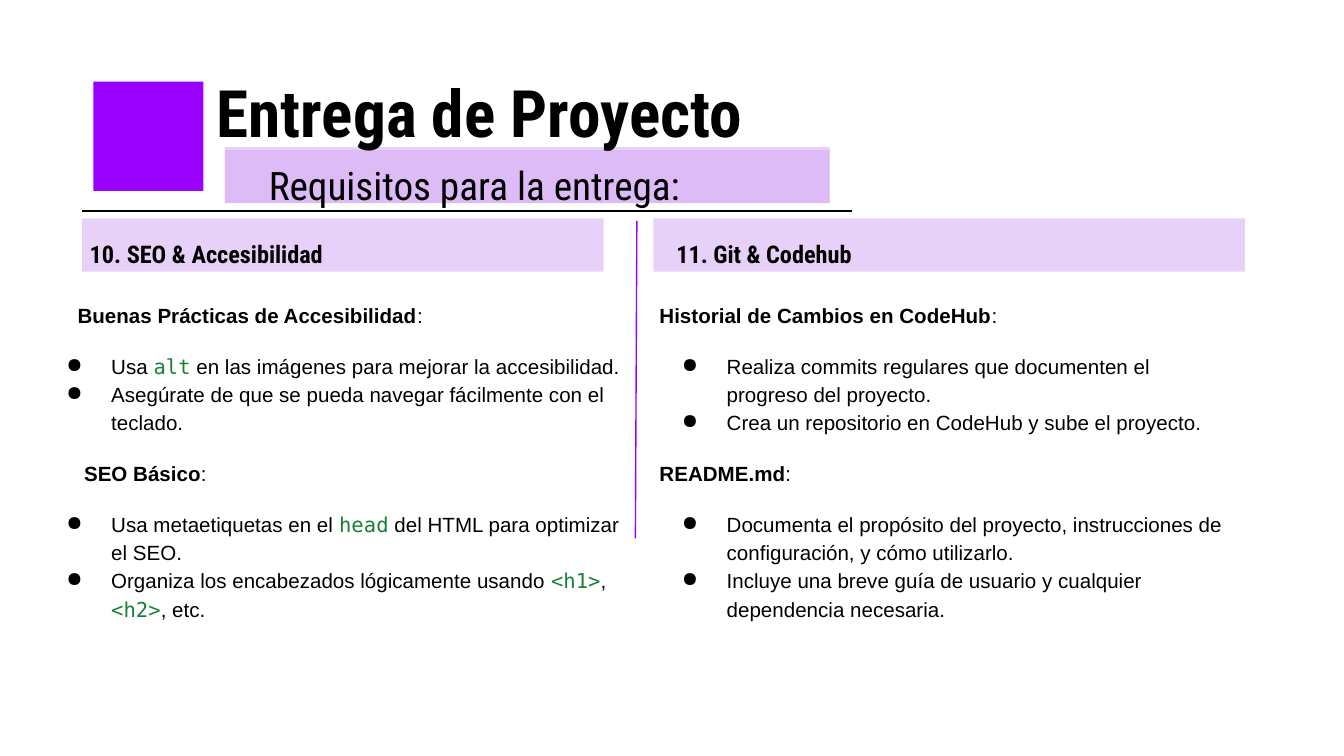
from lxml.etree import SubElement
from pptx import Presentation
from pptx.dml.color import RGBColor
from pptx.enum.shapes import MSO_CONNECTOR, MSO_SHAPE
from pptx.oxml.ns import qn
from pptx.util import Pt

PURPLE = RGBColor(0x99, 0x00, 0xFF)
LILAC = RGBColor(0xD2, 0xA6, 0xF4)
GREEN = RGBColor(0x18, 0x80, 0x38)
BLACK = RGBColor(0, 0, 0)

TITLE = {"name": "Roboto Condensed", "size": Pt(35), "bold": True}
SUBTITLE = {"name": "Roboto Condensed", "size": Pt(21), "bold": False}
HEADING = {"name": "Roboto Condensed", "size": Pt(13), "bold": True}
BODY = {"name": "Arial", "size": Pt(11), "bold": False}
LABEL = {**BODY, "bold": True}
CODE = {**BODY, "name": "DejaVu Sans Mono"}

ACCESSIBILITY = {
    "heading": ("10. SEO & Accesibilidad", 24.5),
    "topics": [
        ("Buenas Prácticas de Accesibilidad", 18, [
            "Usa `alt` en las imágenes para mejorar la accesibilidad.",
            "Asegúrate de que se pueda navegar fácilmente con el teclado."]),
        ("SEO Básico", 21.5, [
            "Usa metaetiquetas en el `head` del HTML para optimizar el SEO.",
            "Organiza los encabezados lógicamente usando `<h1>`, `<h2>`, etc."]),
    ],
}
VERSIONING = {
    "heading": ("11. Git & Codehub", 9),
    "topics": [
        ("Historial de Cambios en CodeHub", 0, [
            "Realiza commits regulares que documenten el progreso del proyecto.",
            "Crea un repositorio en CodeHub y sube el proyecto."]),
        ("README.md", 0, [
            "Documenta el propósito del proyecto, instrucciones de configuración, y cómo utilizarlo.",
            "Incluye una breve guía de usuario y cualquier dependencia necesaria."]),
    ],
}


def add_block(page, left, top, width, height, color, opacity=100):
    """Add a plain rectangle with the given opacity in percent."""
    block = page.shapes.add_shape(MSO_SHAPE.RECTANGLE, Pt(left), Pt(top), Pt(width), Pt(height))
    block.shadow.inherit = False
    block.line.fill.background()
    block.fill.solid()
    block.fill.fore_color.rgb = color
    if opacity < 100:
        tint = block.fill._xPr.find(".//" + qn("a:srgbClr"))
        SubElement(tint, qn("a:alpha"), val=str(opacity * 1000))


def add_rule(page, start, end, color):
    """Add a thin straight line between two points."""
    rule = page.shapes.add_connector(MSO_CONNECTOR.STRAIGHT, *map(Pt, start + end))
    rule.line.color.rgb = color
    rule.line.width = Pt(0.75)
    SubElement(rule._element.spPr, qn("a:effectLst"))


def add_text_box(page, left, top, width, height, inset=7.2):
    """Add a wrapping text box and return its text frame."""
    frame = page.shapes.add_textbox(Pt(left), Pt(top), Pt(width), Pt(height)).text_frame
    frame.word_wrap = True
    for side in ("left", "top", "right", "bottom"):
        setattr(frame, f"margin_{side}", Pt(inset))
    return frame


def add_span(para, text, style, color=BLACK):
    """Add a run in the given style."""
    span = para.add_run()
    span.text = text
    for name, value in style.items():
        setattr(span.font, name, value)
    span.font.color.rgb = color


def add_para(frame, before, left, bullet=False):
    """Add a paragraph with spacing, an indent and an optional bullet."""
    para = frame.add_paragraph()
    para.line_spacing = 1.15
    para.space_before = Pt(before)
    props = para._p.get_or_add_pPr()
    props.set("marL", str(Pt(left)))
    if bullet:
        props.set("indent", str(-Pt(24)))
        tint = SubElement(props, qn("a:buClr"))
        SubElement(tint, qn("a:srgbClr"), val=str(BLACK))
        SubElement(props, qn("a:buChar"), char="●")
    return para


def add_header(page, left, top):
    """Place the square, the title and the subtitle on its band."""
    for offset, height in ((36.5, 28.5), (35, 30)):
        add_block(page, left + 70.5, top + offset, 324, height, LILAC, 51)
    add_block(page, left, top, 59, 58.5, PURPLE)
    title = add_text_box(page, left + 59, top - 12.2, 376, 58.5)
    add_span(title.paragraphs[0], "Entrega de Proyecto", TITLE)
    subtitle = add_text_box(page, left + 94, top + 37.4, 286.5, 25, inset=0)
    subtitle.paragraphs[0].line_spacing = 1.2
    add_span(subtitle.paragraphs[0], "Requisitos para la entrega:", SUBTITLE)
    add_rule(page, (left - 5.8, top + 69.2), (left + 406.5, top + 69.2), BLACK)


def add_column(page, left, top, width, height, content):
    """Place one column: a heading, then topics with bulleted points."""
    frame = add_text_box(page, left, top, width, height)
    heading, indent = content["heading"]
    first = frame.paragraphs[0]
    first.line_spacing = 1.15
    first._p.get_or_add_pPr().set("marL", str(Pt(indent)))
    add_span(first, heading, HEADING)
    for number, (label, indent, points) in enumerate(content["topics"]):
        para = add_para(frame, 12 if number else 16.5, indent)
        add_span(para, label, LABEL)
        add_span(para, ":", BODY)
        for order, point in enumerate(points):
            para = add_para(frame, 0 if order else 12, 36, bullet=True)
            for part, text in enumerate(point.split("`")):
                is_code = part % 2 == 1
                add_span(para, text, CODE if is_code else BODY, GREEN if is_code else BLACK)


def main():
    """Build the slide and save the deck."""
    deck = Presentation()
    deck.slide_width, deck.slide_height = Pt(720), Pt(405)
    page = deck.slides.add_slide(deck.slide_layouts[6])
    add_header(page, 50, 43.8)
    add_block(page, 44, 117, 279.5, 28.5, LILAC, 51)
    add_block(page, 350, 117, 317, 28.5, LILAC, 51)
    add_column(page, 16.5, 118.8, 324, 196, ACCESSIBILITY)
    add_column(page, 346.2, 118.8, 317, 229, VERSIONING)
    add_rule(page, (341.2, 118.4), (340.4, 288.5), PURPLE)
    deck.save("out.pptx")


if __name__ == "__main__":
    main()
